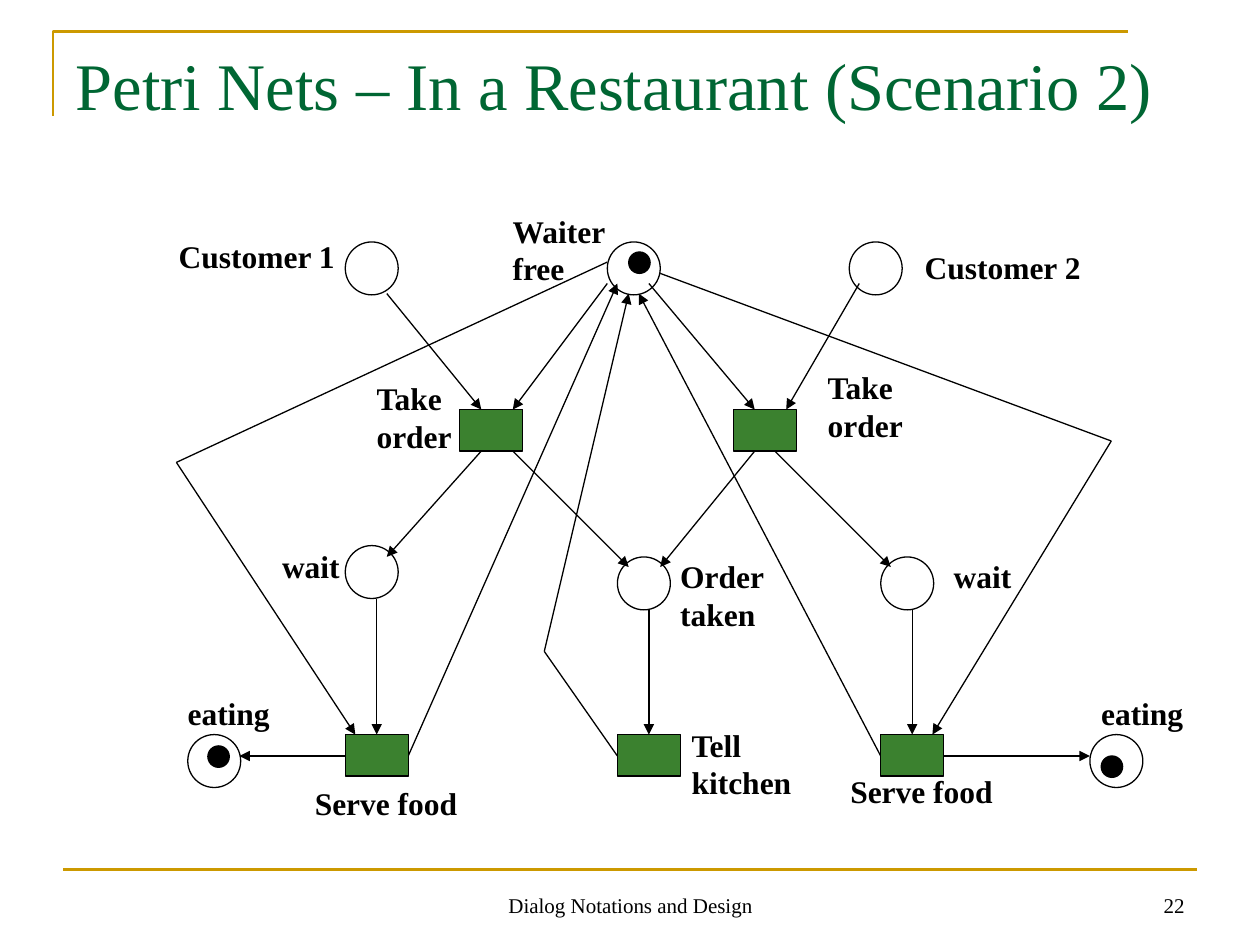
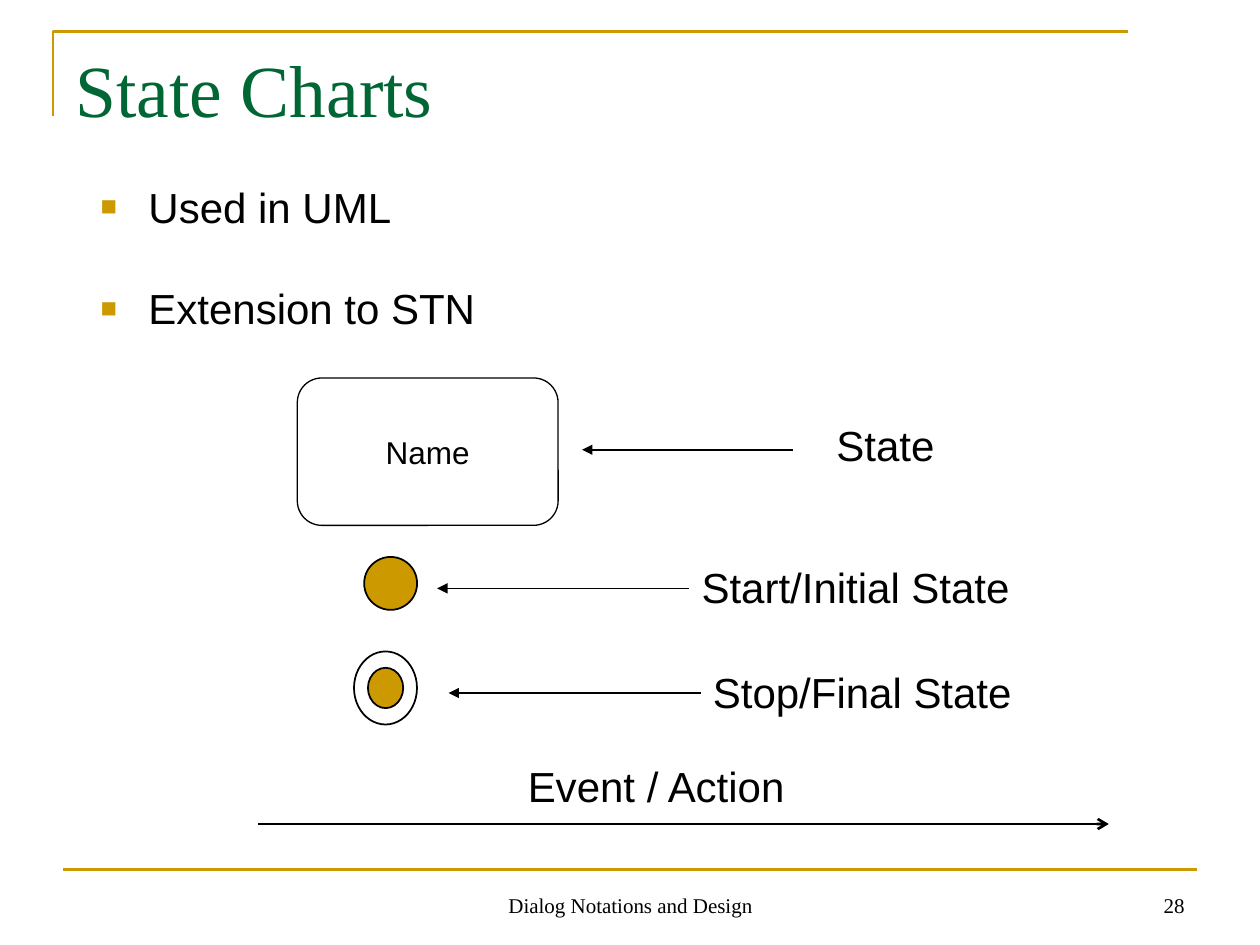
from itertools import pairwise

from lxml.etree import SubElement
from pptx import Presentation
from pptx.dml.color import RGBColor
from pptx.enum.shapes import MSO_CONNECTOR, MSO_SHAPE
from pptx.enum.text import MSO_ANCHOR, MSO_AUTO_SIZE, PP_ALIGN
from pptx.oxml.ns import qn
from pptx.util import Inches, Pt

BLACK, WHITE = "000000", "FFFFFF"
GOLD, TITLE_GREEN, TRANSITION_GREEN = "CC9900", "006633", "3B812F"
SERIF, SANS = "Times New Roman", "Arial"

TITLE_FRAME = {
    "vertical_anchor": MSO_ANCHOR.TOP,
    "auto_size": MSO_AUTO_SIZE.NONE,
    "word_wrap": True,
}
FOOTER_FRAME = {"vertical_anchor": MSO_ANCHOR.BOTTOM, "word_wrap": True}
# No right margin, so that a label always has room for its longest line
LABEL_FRAME = {"word_wrap": False, "margin_right": 0}
NAME_FRAME = {"vertical_anchor": MSO_ANCHOR.MIDDLE, "word_wrap": False}

FOOTER_FONT = {"name": SERIF, "size": Pt(12)}
NET_FONT = {"name": SERIF, "size": Pt(18), "bold": True}
CHART_FONT = {"name": SANS, "size": Pt(24)}
NAME_FONT = {"name": SANS, "size": Pt(18)}


def draw(shape, line_color=BLACK, width=0.75, fill=None, arrow=None):
    """Set line, fill and arrowhead of a shape or connector, without shadow."""
    shape.line.color.rgb = RGBColor.from_string(line_color)
    shape.line.width = Pt(width)
    if arrow:
        SubElement(shape.line._get_or_add_ln(), qn("a:tailEnd"), type=arrow)
    if not hasattr(shape, "fill"):
        SubElement(shape._element.spPr, qn("a:effectLst"))
        return
    shape.shadow.inherit = False
    if fill:
        shape.fill.solid()
        shape.fill.fore_color.rgb = RGBColor.from_string(fill)
    else:
        shape.fill.background()


def write(shape, text, frame_format, font_format, color=BLACK, alignment=PP_ALIGN.LEFT):
    """Fill a shape with text, one paragraph a line."""
    text_frame = shape.text_frame
    for name, value in frame_format.items():
        setattr(text_frame, name, value)
    text_frame.text = text
    for paragraph in text_frame.paragraphs:
        paragraph.alignment = alignment
        for run in paragraph.runs:
            run.font.color.rgb = RGBColor.from_string(color)
            for name, value in font_format.items():
                setattr(run.font, name, value)


presentation = Presentation()
presentation.slide_width = Inches(10)
presentation.slide_height = Inches(7.5)
title_only = presentation.slide_layouts[5]

# Shared frame: title, gold corner, footer rule, footer and number
for title, title_size, number in [
    ("Petri Nets – In a Restaurant (Scenario 2)", 38, "22"),
    ("State Charts", 42, "28"),
]:
    slide = presentation.slides.add_slide(title_only)
    corner = slide.shapes.build_freeform(Inches(0.42), Inches(0.92))
    corner.add_line_segments(
        [(Inches(0.42), Inches(0.25)), (Inches(8.95), Inches(0.25))], close=False
    )
    draw(corner.convert_to_shape(), GOLD, 1.5)
    footer_rule = slide.shapes.add_connector(
        MSO_CONNECTOR.STRAIGHT, Inches(0.5), Inches(6.9), Inches(9.5), Inches(6.9)
    )
    draw(footer_rule, GOLD, 1.5)

    title_shape = slide.shapes.title
    title_shape.left, title_shape.top = Inches(0.5), Inches(0.3)
    title_shape.width, title_shape.height = Inches(9), Inches(1.25)
    title_font = {"name": SERIF, "size": Pt(title_size)}
    write(title_shape, title, TITLE_FRAME, title_font, TITLE_GREEN)

    for text, left, width, alignment in [
        ("Dialog Notations and Design", 3.42, 3.17, PP_ALIGN.CENTER),
        (number, 7.17, 2.33, PP_ALIGN.RIGHT),
    ]:
        footer = slide.shapes.add_textbox(
            Inches(left), Inches(6.83), Inches(width), Inches(0.5)
        )
        write(footer, text, FOOTER_FRAME, FOOTER_FONT, alignment=alignment)

petri_slide, chart_slide = presentation.slides

# Petri net: places
for left, top in [
    (2.74, 1.92), (4.82, 1.92), (6.74, 1.92),
    (2.74, 4.33), (4.9, 4.42), (6.99, 4.42),
    (1.49, 5.83), (8.65, 5.83),
]:
    place = petri_slide.shapes.add_shape(
        MSO_SHAPE.OVAL, Inches(left), Inches(top), Inches(0.42), Inches(0.42)
    )
    draw(place)

# Petri net: arcs, each with an arrowhead on its last segment
for arc in [
    # Into the take order transitions
    [(3.07, 2.33), (3.82, 3.25)],
    [(4.82, 2.25), (4.07, 3.25)],
    [(5.15, 2.25), (5.99, 3.25)],
    [(6.82, 2.25), (6.24, 3.25)],
    # Out of the take order transitions
    [(3.82, 3.58), (3.07, 4.42)],
    [(4.07, 3.58), (4.99, 4.5)],
    [(5.99, 3.58), (5.24, 4.5)],
    [(6.15, 3.58), (7.07, 4.5)],
    # Down to the bottom row and on to eating
    [(2.99, 4.75), (2.99, 5.83)],
    [(5.15, 4.83), (5.15, 5.83)],
    [(7.24, 4.83), (7.24, 5.83)],
    [(2.74, 6), (1.9, 6)],
    [(7.49, 6), (8.65, 6)],
    # Back to the free waiter
    [(3.24, 6), (4.9, 2.25)],
    [(4.9, 6), (4.32, 5.17), (4.99, 2.33)],
    [(6.99, 6), (5.07, 2.33)],
    # From the free waiter to serving
    [(4.82, 2.08), (1.4, 3.67), (2.82, 5.83)],
    [(5.24, 2.17), (8.82, 3.5), (7.4, 5.83)],
]:
    for start, end in pairwise(arc):
        segment = petri_slide.shapes.add_connector(
            MSO_CONNECTOR.STRAIGHT, *[Inches(value) for value in start + end]
        )
        draw(segment, arrow="triangle" if end == arc[-1] else None)

# Petri net: labels
for text, left, top, width in [
    ("Waiter\nfree", 3.97, 1.63, 0.95),
    ("Customer 1", 1.32, 1.83, 1.44),
    ("Customer 2", 7.24, 1.92, 1.44),
    ("Take\norder", 2.89, 2.96, 0.79),
    ("Take\norder", 6.47, 2.87, 0.79),
    ("Order\ntaken", 5.3, 4.37, 0.86),
    ("Tell\nkitchen", 5.39, 5.71, 0.99),
    ("wait", 2.14, 4.29, 0.66),
    ("wait", 7.47, 4.37, 0.66),
    ("Serve food", 2.4, 6.17, 1.33),
    ("Serve food", 6.65, 6.08, 1.33),
    ("eating", 1.39, 5.46, 0.85),
    ("eating", 8.64, 5.46, 0.85),
]:
    height = 0.7 if "\n" in text else 0.4
    label = petri_slide.shapes.add_textbox(
        Inches(left), Inches(top), Inches(width), Inches(height)
    )
    write(label, text, LABEL_FRAME, NET_FONT)

# Petri net: transitions
for left, top in [(3.65, 3.25), (5.82, 3.25), (2.74, 5.83), (4.9, 5.83), (6.99, 5.83)]:
    transition = petri_slide.shapes.add_shape(
        MSO_SHAPE.RECTANGLE, Inches(left), Inches(top), Inches(0.5), Inches(0.33)
    )
    draw(transition, fill=TRANSITION_GREEN)

# Petri net: tokens
for left, top in [(4.99, 2), (1.65, 5.92), (8.74, 6)]:
    token = petri_slide.shapes.add_shape(
        MSO_SHAPE.OVAL, Inches(left), Inches(top), Inches(0.17), Inches(0.17)
    )
    draw(token, fill=BLACK)

# State charts: bullets
bullets = chart_slide.shapes.add_textbox(
    Inches(0.7), Inches(1.07), Inches(9.3), Inches(5.4)
)
write(bullets, "Used in UML\nExtension to STN", {"word_wrap": True}, CHART_FONT)
for index, paragraph in enumerate(bullets.text_frame.paragraphs):
    paragraph.line_spacing = 1.8
    paragraph.space_before = Pt(6 if index else 0)
    properties = paragraph._p.get_or_add_pPr()
    properties.set("marL", str(Inches(0.38)))
    properties.set("indent", str(-Inches(0.38)))
    bullet_color = SubElement(properties, qn("a:buClr"))
    SubElement(bullet_color, qn("a:srgbClr"), val=GOLD)
    SubElement(properties, qn("a:buSzPct"), val="65000")
    SubElement(properties, qn("a:buFont"), typeface=SANS)
    SubElement(properties, qn("a:buChar"), char="■")

# State charts: symbols
state = chart_slide.shapes.add_shape(
    MSO_SHAPE.ROUNDED_RECTANGLE, Inches(2.36), Inches(3), Inches(2.07), Inches(1.17)
)
draw(state, fill=WHITE)
write(state, "Name", NAME_FRAME, NAME_FONT, alignment=PP_ALIGN.CENTER)
for left, top, width, height, fill in [
    (2.89, 4.42, 0.42, 0.42, GOLD),
    (2.81, 5.17, 0.5, 0.58, None),
    (2.92, 5.3, 0.28, 0.32, GOLD),
]:
    symbol = chart_slide.shapes.add_shape(
        MSO_SHAPE.OVAL, Inches(left), Inches(top), Inches(width), Inches(height)
    )
    draw(symbol, width=1, fill=fill)

# State charts: arrows
for start, end, y, line_width, arrow in [
    (6.29, 4.62, 3.57, 1, "triangle"),
    (5.47, 3.47, 4.67, 1, "triangle"),
    (5.56, 3.56, 5.5, 1, "triangle"),
    (2.05, 8.8, 6.54, 1.5, "arrow"),
]:
    pointer = chart_slide.shapes.add_connector(
        MSO_CONNECTOR.STRAIGHT, Inches(start), Inches(y), Inches(end), Inches(y)
    )
    draw(pointer, width=line_width, arrow=arrow)

# State charts: labels
for text, left, top, width in [
    ("State", 6.54, 3.28, 0.98),
    ("Start/Initial State", 5.47, 4.41, 2.64),
    ("Stop/Final State", 5.56, 5.24, 2.57),
    ("Event / Action", 4.09, 5.99, 2.25),
]:
    label = chart_slide.shapes.add_textbox(
        Inches(left), Inches(top), Inches(width), Inches(0.5)
    )
    write(label, text, LABEL_FRAME, CHART_FONT)

presentation.save("out.pptx")
